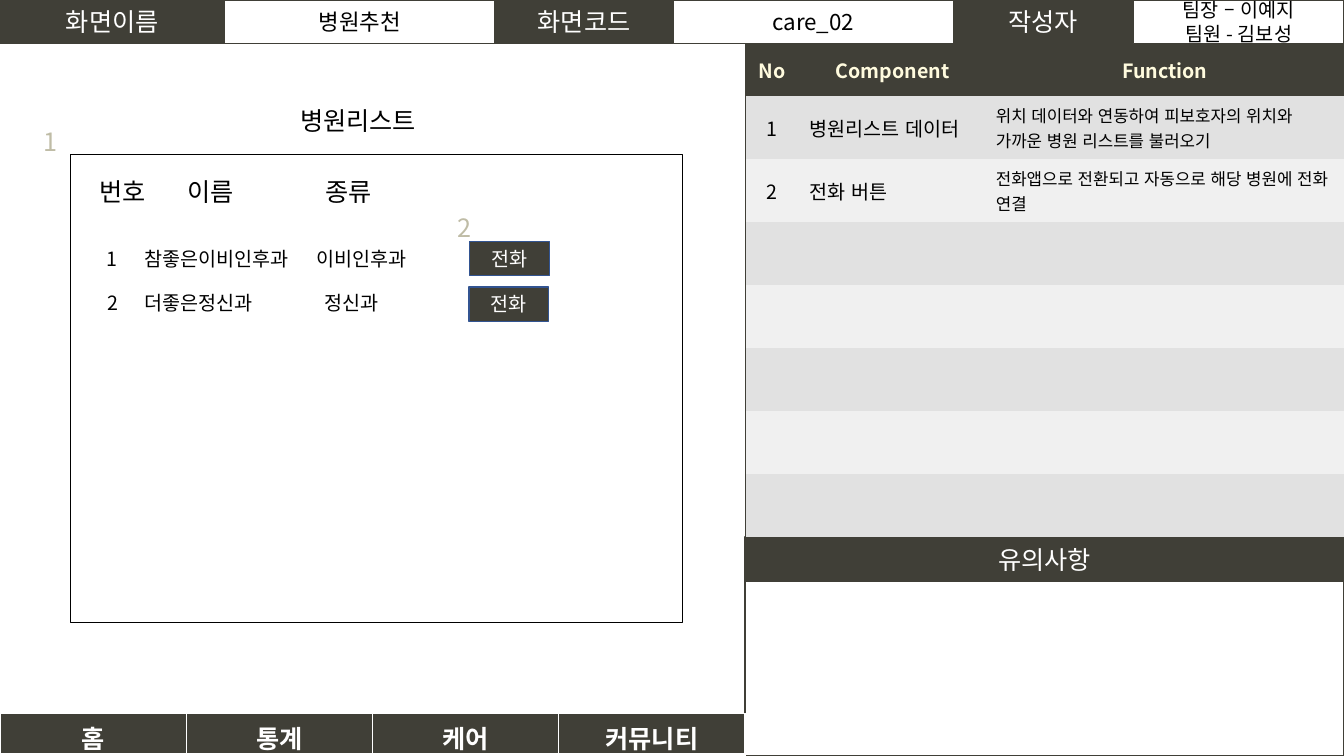
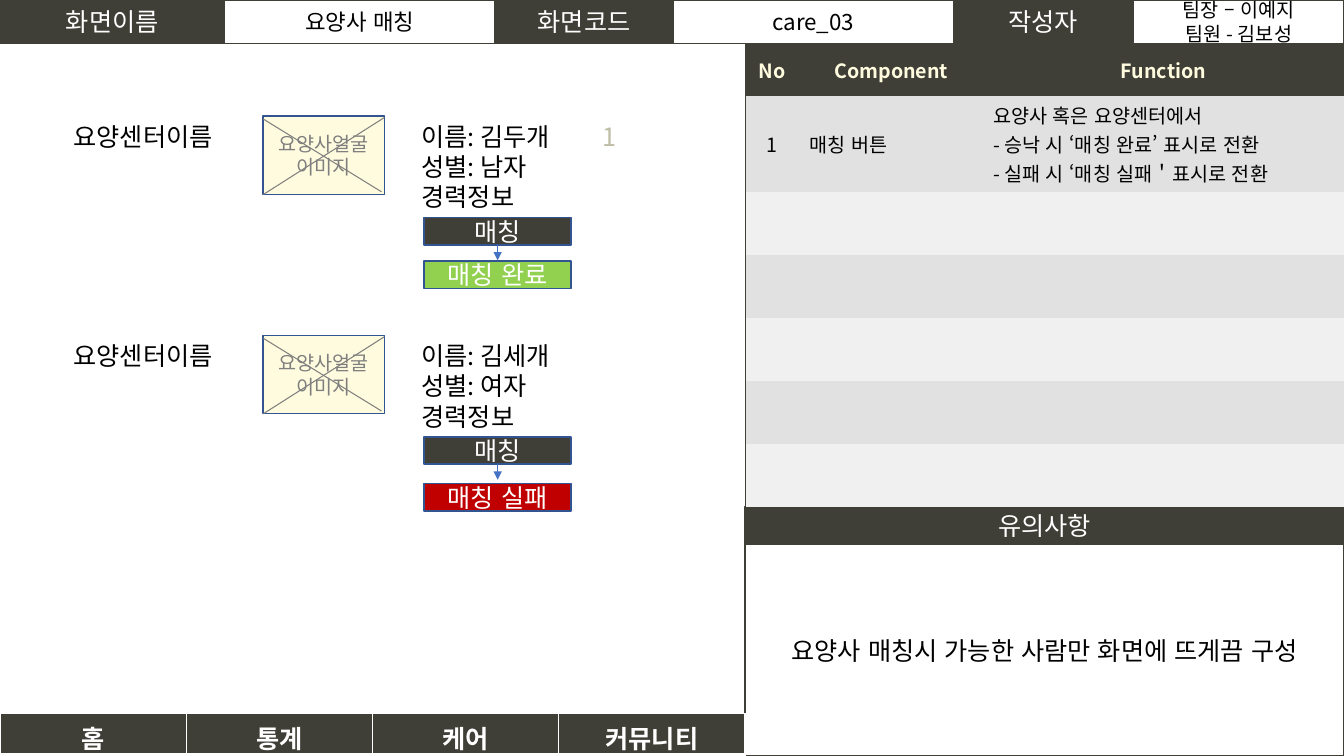
from itertools import pairwise
from lxml import etree
from pptx import Presentation
from pptx.dml.color import RGBColor
from pptx.enum.lang import MSO_LANGUAGE_ID as Language
from pptx.enum.shapes import MSO_CONNECTOR as Connector, MSO_SHAPE as Shape
from pptx.enum.text import MSO_ANCHOR as Anchor, MSO_AUTO_SIZE as AutoSize, PP_ALIGN as Align
from pptx.oxml.ns import qn
from pptx.util import Pt

FONT = "Noto Sans CJK KR"
DARK = RGBColor(0x40, 0x3F, 0x37)
WHITE = RGBColor(0xFF, 0xFF, 0xFF)
BLACK = RGBColor(0, 0, 0)
CREAM = RGBColor(0xFF, 0xFB, 0xDE)
MARK = RGBColor(0xBF, 0xBC, 0xA6)
GRAY = RGBColor(0x7F, 0x7F, 0x7F)
BLUE = RGBColor(0x44, 0x72, 0xC4)
NAVY = RGBColor(0x32, 0x54, 0x91)
GREEN = RGBColor(0x92, 0xD0, 0x50)
RED = RGBColor(0xC0, 0, 0)
BANDS = (RGBColor(0xE1, 0xE1, 0xE1), RGBColor(0xF0, 0xF0, 0xF0))
PLAIN_TABLE = "{2D5ABB26-0587-4C30-8999-92F81FD0307C}"

WIDTH, HEIGHT = 960, 540
HEADER_EDGES = (0, 160.5, 353.5, 481, 681, 809.5, WIDTH)
HEADER_HEIGHT = 31.2
SPLIT = 532.2
NAV_TOP, NAV_HEIGHT = 509.8, 29.7

AUTHORS = "팀장 – 이예지\n팀원 - 김보성"
NAV = ("홈", "통계", "케어", "커뮤니티")
COLUMNS = ("No", "Component", "Function")

HOSPITAL = {
    "name": "병원추천", "code": "care_02",
    "widths": (39, 133, 255.8), "heights": [37.4] + [45] * 7, "function_size": 12,
    "functions": [
        ("1", "병원리스트 데이터",
         "위치 데이터와 연동하여 피보호자의 위치와 가까운 병원 리스트를 불러오기"),
        ("2", "전화 버튼", "전화앱으로 전환되고 자동으로 해당 병원에 전화 연결"),
    ],
    "notes_top": 383.6, "notes_split": 415, "notes": "",
    "marks": [("1", 24, 87), ("2", 320, 148)],
}
MATCHING = {
    "name": "요양사 매칭", "code": "care_03",
    "widths": (39, 131, 257.8), "heights": [37.4, 68] + [45] * 5, "function_size": 14,
    "functions": [
        ("1", "매칭 버튼",
         "요양사 혹은 요양센터에서\n- 승낙 시 ‘매칭 완료’ 표시로 전환\n- 실패 시 ‘매칭 실패＇표시로 전환"),
    ],
    "notes_top": 361.6, "notes_split": 389, "notes": "요양사 매칭시 가능한 사람만 화면에 뜨게끔 구성",
    "marks": [("1", 423.5, 83)],
}

# top, size, then (left, text) for each column
HOSPITAL_ROWS = [
    (122.5, 18, [(64, "번호"), (127, "이름"), (225.5, "종류")]),
    (172.8, 14, [(69, "1"), (96, "참좋은이비인후과"), (219, "이비인후과")]),
    (204.5, 14, [(69.5, "2"), (96, "더좋은정신과"), (224.5, "정신과")]),
]
CALL_BUTTONS = [(335.5, 172.5), (335, 205)]

# top, name, sex, result, result colour, result distance
CAREGIVERS = [
    (83, "김두개", "남자", "매칭 완료", GREEN, 103.5),
    (239.6, "김세개", "여자", "매칭 실패", RED, 106),
]


def write(frame, text, size=18, color=BLACK, bold=False, align=Align.CENTER):
    for index, line in enumerate(text.split("\n")):
        para = frame.add_paragraph() if index else frame.paragraphs[0]
        para.alignment, para.line_spacing = align, 1.0
        span = para.add_run()
        span.text = line
        font = span.font
        font.name, font.size, font.bold = FONT, Pt(size), bold
        font.language_id = Language.KOREAN
        font.color.rgb = color
        etree.SubElement(font._element, qn("a:ea"), typeface=FONT)


def style_box(box, fill, line, text="", line_width=1, **text_format):
    if fill is None:
        box.fill.background()
    else:
        box.fill.solid()
        box.fill.fore_color.rgb = fill
    box.line.color.rgb, box.line.width = line, Pt(line_width)
    frame = box.text_frame
    frame.word_wrap, frame.vertical_anchor = True, Anchor.MIDDLE
    frame.auto_size = AutoSize.NONE
    if text:
        write(frame, text, **text_format)


def add_box(shapes, left, top, width, height, fill, line, text="", **options):
    box = shapes.add_shape(Shape.RECTANGLE, Pt(left), Pt(top), Pt(width), Pt(height))
    box.shadow.inherit = False
    style_box(box, fill, line, text, **options)


def add_label(page, left, top, text, size=18, color=BLACK):
    lines = text.count("\n") + 1
    box = page.shapes.add_textbox(Pt(left), Pt(top), Pt(125), Pt(7.2 + 1.2 * size * lines))
    box.text_frame.word_wrap = False
    write(box.text_frame, text, size, color, align=Align.LEFT)


def add_line(shapes, start, end, color, width=0.5, arrow=False):
    line = shapes.add_connector(Connector.STRAIGHT, *map(Pt, start + end))
    line.line.color.rgb, line.line.width = color, Pt(width)
    if arrow:
        etree.SubElement(line.line._get_or_add_ln(), qn("a:tailEnd"), type="triangle")
    etree.SubElement(line._element.spPr, qn("a:effectLst"))


def add_plain_table(page, left, top, widths, heights):
    frame = page.shapes.add_table(len(heights), len(widths), Pt(left), Pt(top),
                                  Pt(sum(widths)), Pt(sum(heights)))
    table = frame.table
    table._tbl.tblPr.find(qn("a:tableStyleId")).text = PLAIN_TABLE
    table.horz_banding = False
    for column, width in zip(table.columns, widths):
        column.width = Pt(width)
    for row, height in zip(table.rows, heights):
        row.height = Pt(height)
    return table


def fill_cell(cell, fill, text="", **text_format):
    cell.fill.solid()
    cell.fill.fore_color.rgb = fill
    if text:
        write(cell.text_frame, text, **text_format)


def border_cell(cell, color, **widths):
    """Set cell borders by side: L, R, T, B, in that order, before the fill."""
    properties = cell._tc.get_or_add_tcPr()
    for index, (side, width) in enumerate(widths.items()):
        line = etree.Element(qn(f"a:ln{side}"), w=str(Pt(width)))
        solid = etree.SubElement(line, qn("a:solidFill"))
        etree.SubElement(solid, qn("a:srgbClr"), val=str(color))
        properties.insert(index, line)


def add_header(page, screen):
    cells = [("화면이름", 18), (screen["name"], 16), ("화면코드", 18),
             (screen["code"], 16), ("작성자", 18), (AUTHORS, 14)]
    for index, ((text, size), (left, right)) in enumerate(zip(cells, pairwise(HEADER_EDGES))):
        fill, color = (WHITE, BLACK) if index % 2 else (DARK, WHITE)
        if text == screen["name"]:
            title = page.shapes.title
            title.left, title.top = Pt(left), Pt(0)
            title.width, title.height = Pt(right - left), Pt(HEADER_HEIGHT)
            style_box(title, fill, DARK, text, size=size, color=color)
        else:
            add_box(page.shapes, left, 0, right - left, HEADER_HEIGHT, fill, DARK, text,
                    size=size, color=color)


def add_functions(page, screen):
    table = add_plain_table(page, SPLIT, HEADER_HEIGHT, screen["widths"], screen["heights"])
    rows = [COLUMNS] + screen["functions"]
    rows += [("",) * 3] * (len(screen["heights"]) - len(rows))
    for y, row in enumerate(rows):
        for x, text in enumerate(row):
            cell = table.cell(y, x)
            cell.vertical_anchor = Anchor.MIDDLE
            if y == 0:
                fill_cell(cell, DARK, text, size=14, color=CREAM, bold=True)
            else:
                fill_cell(cell, BANDS[(y - 1) % 2], text,
                          size=screen["function_size"] if x == 2 else 14,
                          align=Align.LEFT if x else Align.CENTER)


def add_navigation(page):
    table = add_plain_table(page, 0, NAV_TOP, [SPLIT / len(NAV)] * len(NAV), [NAV_HEIGHT])
    table.first_row = False
    for x, text in enumerate(NAV):
        cell = table.cell(0, x)
        cell.margin_bottom = 0
        fill_cell(cell, DARK, text, color=WHITE, bold=True)
        border_cell(cell, WHITE, L=1, R=1, T=1, B=3)


def add_screen(deck, screen):
    page = deck.slides.add_slide(deck.slide_layouts[5])
    add_header(page, screen)
    top, split = screen["notes_top"], screen["notes_split"]
    add_box(page.shapes, SPLIT, top, WIDTH - SPLIT, split - top, DARK, DARK,
            "유의사항", color=WHITE)
    add_box(page.shapes, SPLIT, split, WIDTH - SPLIT, HEIGHT - split, WHITE, DARK,
            screen["notes"])
    add_functions(page, screen)
    add_line(page.shapes, (SPLIT, HEADER_HEIGHT), (SPLIT, HEIGHT), DARK)
    add_navigation(page)
    for text, left, top in screen["marks"]:
        add_label(page, left, top, text, color=MARK)
    return page


def add_hospital_list(page):
    add_label(page, 207.4, 72, "병원리스트")
    add_box(page.shapes, 50.4, 110.3, 437, 334.5, None, BLACK, line_width=0.75)
    for top, size, cells in HOSPITAL_ROWS:
        for left, text in cells:
            add_label(page, left, top, text, size)
    for left, top in CALL_BUTTONS:
        add_box(page.shapes, left, top, 57, 24.5, DARK, NAVY, "전화", size=14, color=WHITE)


def add_photo_frame(page, left, top, width=86.5, height=56):
    shapes = page.shapes.add_group_shape().shapes
    add_box(shapes, left, top, width, height, CREAM, NAVY, "요양사얼굴이미지", size=14, color=GRAY)
    add_line(shapes, (left, top + 2), (left + width - 2, top + height - 2), GRAY, 0.75)
    add_line(shapes, (left, top + height), (left + width, top + 1), GRAY, 0.75)


def add_caregiver(page, top, name, sex, result, result_color, distance):
    left, width, height, button_top = 303, 105, 19.5, top + 72.5
    add_label(page, 45.4, top, "요양센터이름")
    add_photo_frame(page, 188, top)
    add_label(page, 294, top, f"이름: {name}\n성별: {sex}\n경력정보")
    add_box(page.shapes, left, button_top, width, height, DARK, NAVY, "매칭", color=WHITE)
    add_box(page.shapes, left, top + distance, width, height, result_color, NAVY, result,
            color=WHITE)
    middle, arrow_top = left + width / 2, button_top + height
    add_line(page.shapes, (middle, arrow_top), (middle, arrow_top + 11), BLUE, arrow=True)


def main():
    deck = Presentation()
    deck.slide_width, deck.slide_height = Pt(WIDTH), Pt(HEIGHT)
    add_hospital_list(add_screen(deck, HOSPITAL))
    matching = add_screen(deck, MATCHING)
    for caregiver in CAREGIVERS:
        add_caregiver(matching, *caregiver)
    deck.save("out.pptx")


if __name__ == "__main__":
    main()
